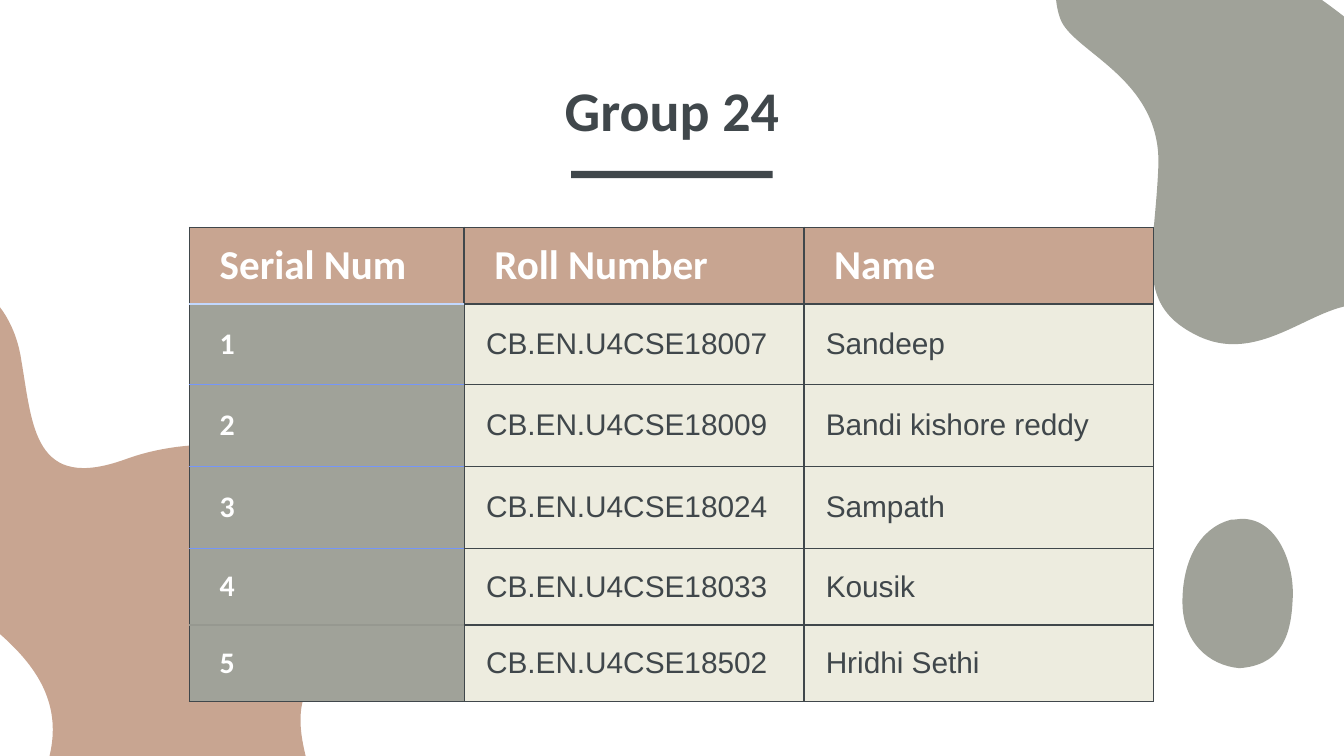
import math
import pptx
import pptx.util
import pptx.dml.color
import pptx.enum.shapes
import pptx.enum.text
import pptx.oxml.ns
import lxml.etree

Pt = pptx.util.Pt
RGB = pptx.dml.color.RGBColor.from_string
qn = pptx.oxml.ns.qn
middle = pptx.enum.text.MSO_ANCHOR.MIDDLE

color = {
    "dark": "40474B", "sage": "A0A299", "clay": "C8A591", "cream": "EDECDF",
    "white": "FFFFFF", "pale": "C2D8FF", "blue": "7596FA", "mist": "969890",
}


def style(para, font, size, tint, bold):
    for run in para.runs:
        run.font.name = font
        run.font.size = Pt(size)
        run.font.bold = bold
        run.font.color.rgb = RGB(color[tint])


def border(cell, side, tint, width):
    props = cell._tc.get_or_add_tcPr()
    line = lxml.etree.SubElement(props, qn("a:ln" + side), w=str(Pt(width)))
    fill = lxml.etree.SubElement(line, qn("a:solidFill"))
    lxml.etree.SubElement(fill, qn("a:srgbClr"), val=color[tint])


deck = pptx.Presentation()
deck.slide_width = Pt(720)
deck.slide_height = Pt(405)
slide = deck.slides.add_slide(deck.slide_layouts[5])

blobs = [
    ("sage", (509, -13, 327.6, 201.6), 222.8, [
        (568, 10),
        (574.5, 28), (623, 42), (620.5, 90),
        (618.5, 137.5), (607, 164), (643, 180.5),
        (679, 196.5), (708, 157), (735, 164),
        (762, 171.5), (843, 145.5), (786, 74),
        (730, 3.5), (649.5, -44.5), (607.5, -41),
        (566, -38), (561.5, -8), (568, 10),
    ]),
    ("clay", (-144.7, 145.4, 368.6, 334.8), 11.2, [
        (11.5, 193.5),
        (17.5, 228), (18, 264), (67.5, 246),
        (116.5, 228), (187, 242.5), (201, 276),
        (215, 308), (170, 341), (162, 376.5),
        (154, 411), (198.5, 460), (152, 478),
        (106, 497), (3.5, 464.5), (24, 413.5),
        (43, 361.5), (-4.5, 335.5), (-45.5, 306),
        (-86.5, 276), (-123, 189.5), (-73.5, 160),
        (-23, 130.5), (6.5, 158.5), (11.5, 193.5),
    ]),
    ("sage", (633.5, 278, 61, 80), 0, [
        (665.5, 278),
        (664, 278), (661.5, 278.5), (659.5, 278.5),
        (642, 283), (633.5, 301.5), (633.5, 322.5),
        (633.5, 344), (647.5, 356.5), (664, 358),
        (684.5, 356.5), (691.5, 343.5), (692.5, 322),
        (694, 302.5), (684.5, 278), (665.5, 278),
    ]),
]
for tint, (x, y, w, h), turn, dots in blobs:
    pen = slide.shapes.build_freeform(Pt(x), Pt(y))
    pen.add_line_segments([(Pt(x + w), Pt(y)), (Pt(x + w), Pt(y + h)), (Pt(x), Pt(y + h))])
    blob = pen.convert_to_shape()
    trace = next(blob._element.iter(qn("a:path")))
    for old in list(trace):
        trace.remove(old)
    cos, sin = math.cos(math.radians(turn)), math.sin(math.radians(turn))
    for i, (px, py) in enumerate(dots):
        if i == 0:
            part = lxml.etree.SubElement(trace, qn("a:moveTo"))
        elif i % 3 == 1:
            part = lxml.etree.SubElement(trace, qn("a:cubicBezTo"))
        dx, dy = px - x - w / 2, py - y - h / 2
        left = Pt(w / 2 + dx * cos + dy * sin)
        top = Pt(h / 2 - dx * sin + dy * cos)
        lxml.etree.SubElement(part, qn("a:pt"), x=str(left), y=str(top))
    lxml.etree.SubElement(trace, qn("a:close"))
    blob.rotation = turn
    blob.shadow.inherit = False
    blob.fill.solid()
    blob.fill.fore_color.rgb = RGB(color[tint])
    blob.line.fill.background()

title = slide.shapes.title
slide.shapes._spTree.append(title._element)
title.left, title.top, title.width, title.height = Pt(56), Pt(41), Pt(608), Pt(42.5)
frame = title.text_frame
frame.text = "Group 24"
frame.auto_size = pptx.enum.text.MSO_AUTO_SIZE.NONE
frame.vertical_anchor = pptx.enum.text.MSO_ANCHOR.BOTTOM
frame.margin_left = frame.margin_right = frame.margin_top = frame.margin_bottom = Pt(7.2)
frame.paragraphs[0].alignment = pptx.enum.text.PP_ALIGN.CENTER
style(frame.paragraphs[0], "Calibri", 30, "dark", True)

rows = [
    ("Serial Num", "Roll Number", "Name"),
    ("1", "CB.EN.U4CSE18007", "Sandeep"),
    ("2", "CB.EN.U4CSE18009", "Bandi kishore reddy"),
    ("3", "CB.EN.U4CSE18024", "Sampath"),
    ("4", "CB.EN.U4CSE18033", "Kousik"),
    ("5", "CB.EN.U4CSE18502", "Hridhi Sethi"),
]
widths = [147.2, 182, 187.3]
heights = [41.2, 43, 44, 44, 41, 41]
rules = ["dark", "pale", "blue", "blue", "blue", "mist", "dark"]

grid = slide.shapes.add_table(
    len(rows), len(widths), Pt(101.5), Pt(121.7), Pt(sum(widths)), Pt(sum(heights)))
table = grid.table
table.first_row = False
table.horz_banding = False
for col, width in zip(table.columns, widths):
    col.width = Pt(width)
for row, height in zip(table.rows, heights):
    row.height = Pt(height)

for r, row in enumerate(rows):
    for c, text in enumerate(row):
        cell = table.cell(r, c)
        cell.text_frame.text = text
        cell.vertical_anchor = middle
        cell.margin_left = cell.margin_right = Pt(7.2)
        cell.margin_top = cell.margin_bottom = Pt(7.2)
        para = cell.text_frame.paragraphs[0]
        if r == 0:
            fill, indent = "clay", 9
            style(para, "Calibri", 22, "white", True)
        elif c == 0:
            fill, indent = "sage", 9
            style(para, "Calibri", 16, "white", True)
        else:
            fill, indent = "cream", 4.5
            style(para, "Arial", 16, "dark", False)
        para._p.get_or_add_pPr().set("marL", str(Pt(indent)))
        border(cell, "L", "dark", 1.5 if (r, c) == (0, 1) else 0.75)
        border(cell, "R", "dark", 1.5 if (r, c) == (0, 0) else 0.75)
        border(cell, "T", "dark" if c else rules[r], 1.5 if r == 1 else 0.75)
        border(cell, "B", "dark" if c else rules[r + 1], 1.5 if r == 0 else 0.75)
        cell.fill.solid()
        cell.fill.fore_color.rgb = RGB(color[fill])

bar = slide.shapes.add_shape(
    pptx.enum.shapes.MSO_SHAPE.RECTANGLE, Pt(306), Pt(91.5), Pt(108), Pt(4))
bar.shadow.inherit = False
bar.fill.solid()
bar.fill.fore_color.rgb = RGB(color["dark"])
bar.line.fill.background()

deck.save("out.pptx")
